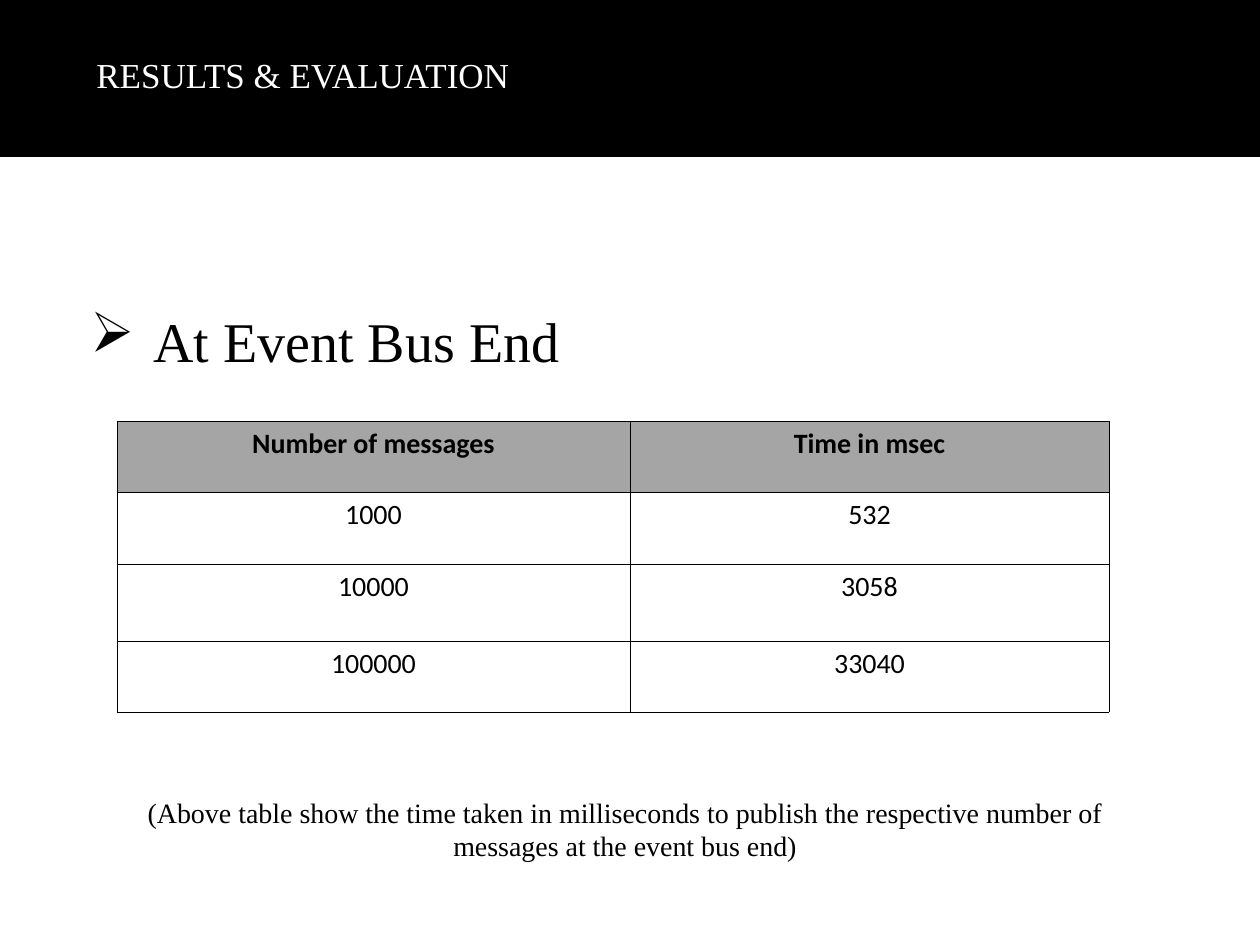
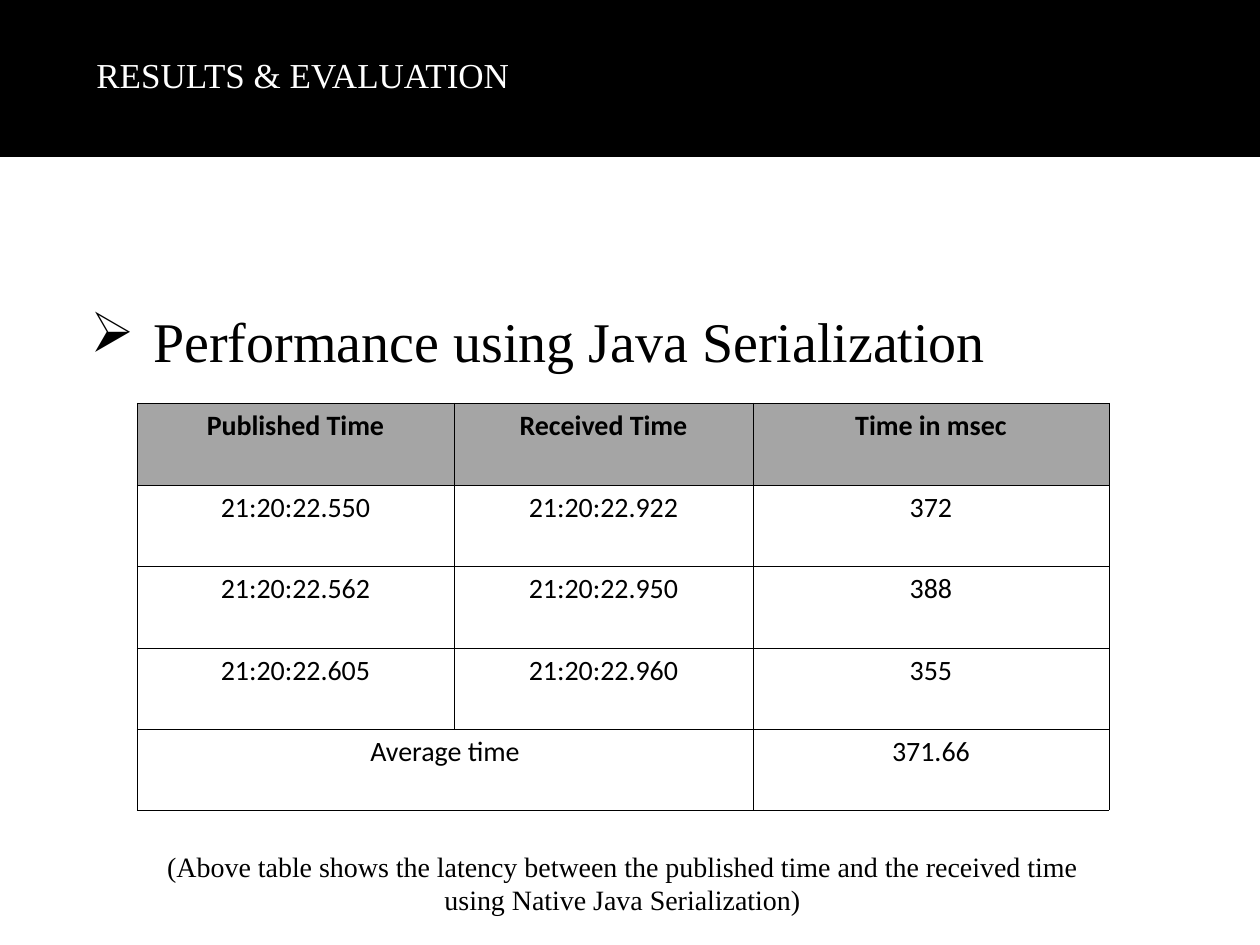
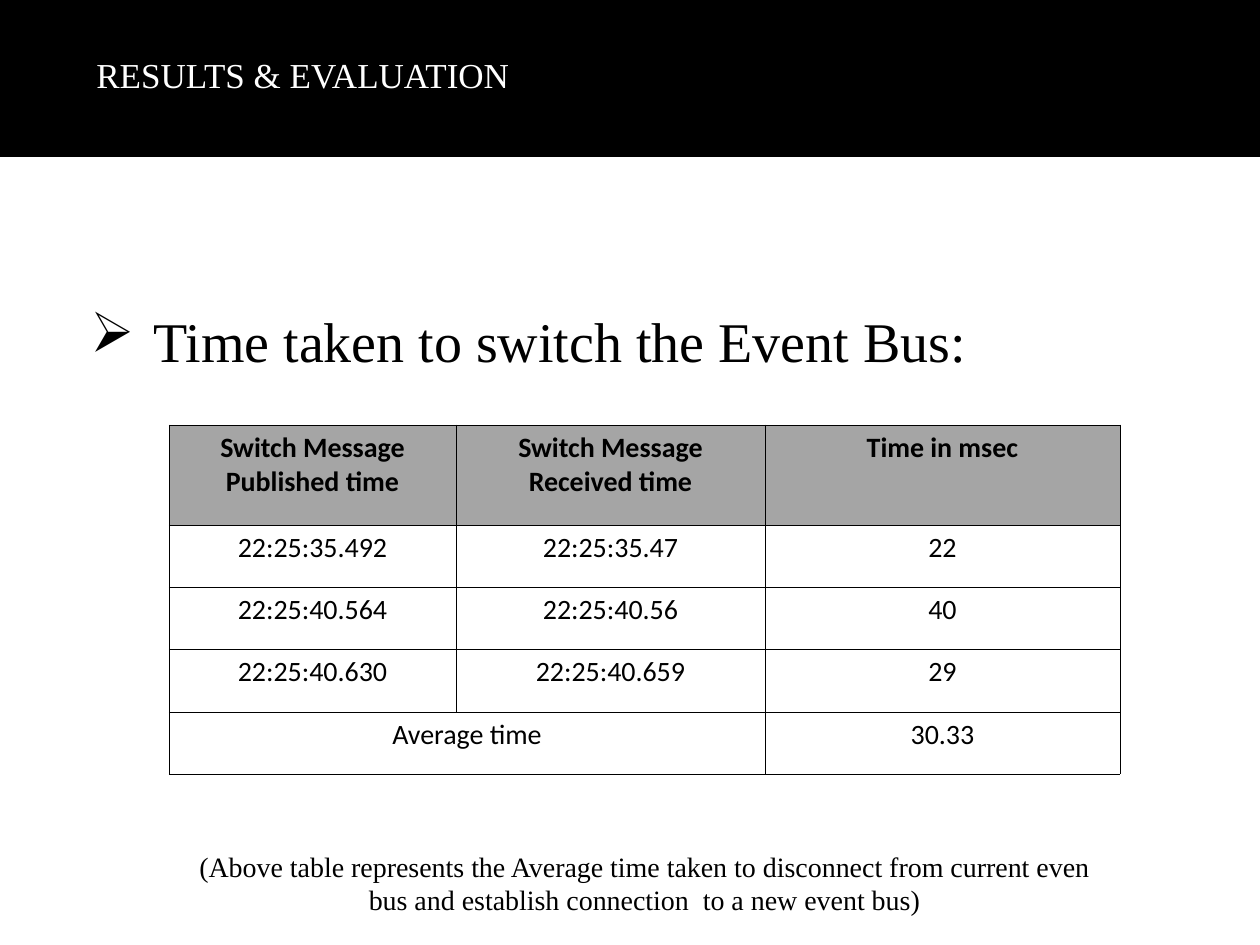
import dataclasses

import pptx
import pptx.dml.color
import pptx.enum.shapes
import pptx.enum.text
import pptx.oxml.ns
import pptx.util
from lxml import etree

PX = 914400 / 126


@dataclasses.dataclass(frozen=True)
class Theme:
    black: str = "000000"
    white: str = "FFFFFF"
    header_gray: str = "A5A5A5"
    serif: str = "Times New Roman"
    sans: str = "Calibri"
    title_size: int = 20
    heading_size: int = 32
    text_size: int = 16
    border_width: float = 0.34


@dataclasses.dataclass(frozen=True)
class Box:
    left: int
    top: int
    width: int
    height: int

    def emu(self):
        return [px(length) for length in dataclasses.astuple(self)]


@dataclasses.dataclass(frozen=True)
class Result:
    """What differs from one result slide to the next."""
    heading: str
    table_left: int
    table_top: int
    columns: list
    rows: list
    cells: list
    caption: str
    caption_box: Box


THEME = Theme()
SLIDE = Box(0, 0, 1260, 945)
BAND = Box(0, 0, 1260, 157)
TITLE = Box(84, -4, 1036, 157)
HEADING = Box(78, 294, 1134, 624)
HEADING_INDENT = 63
CELL_MARGIN_X, CELL_MARGIN_Y = 9, 6
TITLE_TEXT = "RESULTS & EVALUATION"

RESULTS = [
    Result(
        "At Event Bus End", 117, 421, [513, 479], [71, 72, 77, 71],
        [["Number of messages", "Time in msec"],
         ["1000", "532"],
         ["10000", "3058"],
         ["100000", "33040"]],
        "(Above table show the time taken in milliseconds to publish the "
        "respective number of messages at the event bus end)",
        Box(117, 789, 1016, 113)),
    Result(
        "Performance using Java Serialization", 137, 403,
        [317, 299, 356], [82, 81, 82, 81, 81],
        [["Published Time", "Received Time", "Time in msec"],
         ["21:20:22.550", "21:20:22.922", "372"],
         ["21:20:22.562", "21:20:22.950", "388"],
         ["21:20:22.605", "21:20:22.960", "355"],
         ["Average time", None, "371.66"]],
        "(Above table shows the latency between the published time and the "
        "received time using Native Java Serialization)",
        Box(137, 843, 971, 81)),
    Result(
        "Time taken to switch the Event Bus:", 169, 425,
        [287, 309, 355], [100, 62, 62, 63, 62],
        [["Switch Message Published time", "Switch Message Received time",
          "Time in msec"],
         ["22:25:35.492", "22:25:35.47", "22"],
         ["22:25:40.564", "22:25:40.56", "40"],
         ["22:25:40.630", "22:25:40.659", "29"],
         ["Average time", None, "30.33"]],
        "(Above table represents the Average time taken to disconnect from "
        "current even bus and establish connection  to a new event bus)",
        Box(169, 843, 951, 113)),
]


def px(length):
    return pptx.util.Emu(round(length * PX))


def color(value):
    return pptx.dml.color.RGBColor.from_string(value)


def fill_solid(target, value):
    target.fill.solid()
    target.fill.fore_color.rgb = color(value)


def write(text_frame, text, font_name, size, text_color, bold=False, centered=False):
    text_frame.text = text
    text_frame.word_wrap = True
    paragraph = text_frame.paragraphs[0]
    align = pptx.enum.text.PP_ALIGN
    paragraph.alignment = align.CENTER if centered else align.LEFT
    font = paragraph.runs[0].font
    font.name, font.size, font.bold = font_name, pptx.util.Pt(size), bold
    font.color.rgb = color(text_color)
    return paragraph


def add_band(slide, box):
    band = slide.shapes.add_shape(
        pptx.enum.shapes.MSO_SHAPE.RECTANGLE, *box.emu())
    band.shadow.inherit = False
    fill_solid(band, THEME.black)
    band.line.fill.background()


def add_title(slide, box):
    text_frame = slide.shapes.add_textbox(*box.emu()).text_frame
    write(text_frame, TITLE_TEXT, THEME.serif, THEME.title_size, THEME.white)
    text_frame.vertical_anchor = pptx.enum.text.MSO_ANCHOR.MIDDLE


def add_heading(slide, box, text):
    text_frame = slide.shapes.add_textbox(*box.emu()).text_frame
    paragraph = write(text_frame, text, THEME.serif, THEME.heading_size, THEME.black)
    text_frame.margin_top = px(12)
    properties = paragraph._p.get_or_add_pPr()
    properties.set("marL", str(px(HEADING_INDENT)))
    properties.set("indent", str(-px(HEADING_INDENT)))
    bullet = etree.SubElement(properties, pptx.oxml.ns.qn("a:buChar"))
    bullet.set("char", "➢")


def add_borders(cell):
    """Outline a cell; borders must come before its fill."""
    properties = cell._tc.get_or_add_tcPr()
    for position, side in enumerate(("lnL", "lnR", "lnT", "lnB")):
        line = etree.Element(pptx.oxml.ns.qn(f"a:{side}"))
        line.set("w", str(pptx.util.Pt(THEME.border_width)))
        fill = etree.SubElement(line, pptx.oxml.ns.qn("a:solidFill"))
        etree.SubElement(fill, pptx.oxml.ns.qn("a:srgbClr")).set("val", THEME.black)
        properties.insert(position, line)


def add_result_table(slide, box, columns, rows, cells):
    table = slide.shapes.add_table(len(rows), len(columns), *box.emu()).table
    for column, width in zip(table.columns, columns):
        column.width = px(width)
    for row, height in zip(table.rows, rows):
        row.height = px(height)
    for row_index, texts in enumerate(cells):
        is_header = row_index == 0
        for column_index, text in enumerate(texts):
            cell = table.cell(row_index, column_index)
            cell.margin_left = cell.margin_right = px(CELL_MARGIN_X)
            cell.margin_top = cell.margin_bottom = px(CELL_MARGIN_Y)
            fill_solid(cell, THEME.header_gray if is_header else THEME.white)
            add_borders(cell)
            if text is None:
                table.cell(row_index, column_index - 1).merge(cell)
            else:
                write(cell.text_frame, text, THEME.sans, THEME.text_size,
                      THEME.black, bold=is_header, centered=True)


def add_caption(slide, box, text):
    text_frame = slide.shapes.add_textbox(*box.emu()).text_frame
    write(text_frame, text, THEME.serif, THEME.text_size, THEME.black, centered=True)


def add_result_slide(presentation, result):
    slide = presentation.slides.add_slide(presentation.slide_layouts[6])
    add_band(slide, BAND)
    add_title(slide, TITLE)
    add_heading(slide, HEADING, result.heading)
    table_box = Box(result.table_left, result.table_top,
                    sum(result.columns), sum(result.rows))
    add_result_table(slide, table_box, result.columns, result.rows, result.cells)
    add_caption(slide, result.caption_box, result.caption)


def main():
    presentation = pptx.Presentation()
    presentation.slide_width = px(SLIDE.width)
    presentation.slide_height = px(SLIDE.height)
    for result in RESULTS:
        add_result_slide(presentation, result)
    presentation.save("out.pptx")


if __name__ == "__main__":
    main()
